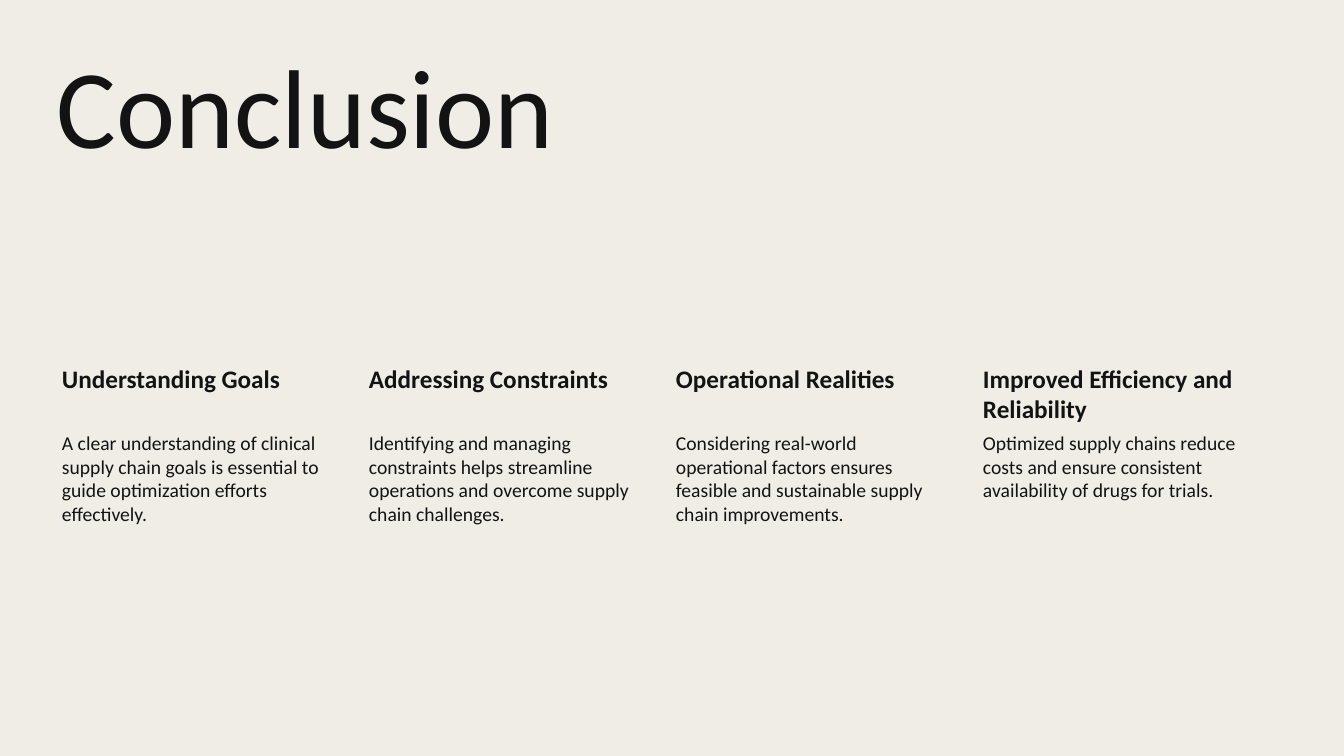
from dataclasses import dataclass

from pptx import Presentation
from pptx import util as u
from pptx.dml.color import RGBColor
from pptx.enum import text
from pptx.slide import Slide

EMU_PER_PX = 914400 / 100.8
INK = "131313"
PAPER = "F0EDE6"
COLUMN_LEFT, COLUMN_PITCH, COLUMN_WIDTH = 47, 307, 279


@dataclass(frozen=True)
class Style:
    top: int
    height: int
    size: int
    bold: bool
    insets: tuple[int, int, int, int]
    line_spacing: float = 1.0


@dataclass(frozen=True)
class Takeaway:
    heading: str
    summary: str


TITLE = Style(47, 179, 80, False, (10, 5, 10, 5), 0.9)
HEADING = Style(360, 69, 18, True, (15, 3, 3, 3))
SUMMARY = Style(429, 242, 14, False, (15, 2, 2, 2))

TAKEAWAYS = [
    Takeaway(
        "Understanding Goals",
        "A clear understanding of clinical supply chain goals is essential to "
        "guide optimization efforts effectively.",
    ),
    Takeaway(
        "Addressing Constraints",
        "Identifying and managing constraints helps streamline operations and "
        "overcome supply chain challenges.",
    ),
    Takeaway(
        "Operational Realities",
        "Considering real-world operational factors ensures feasible and "
        "sustainable supply chain improvements.",
    ),
    Takeaway(
        "Improved Efficiency and Reliability",
        "Optimized supply chains reduce costs and ensure consistent "
        "availability of drugs for trials.",
    ),
]


def px(length: int) -> u.Emu:
    return u.Emu(round(length * EMU_PER_PX))


def color(value: str) -> RGBColor:
    return RGBColor.from_string(value)


def write(slide: Slide, words: str, left: int, width: int, style: Style) -> None:
    box = slide.shapes.add_textbox(px(left), px(style.top), px(width), px(style.height))
    frame = box.text_frame
    frame.word_wrap = True
    frame.vertical_anchor = text.MSO_ANCHOR.TOP
    for side, inset in zip(("left", "top", "right", "bottom"), style.insets):
        setattr(frame, f"margin_{side}", px(inset))
    paragraph = frame.paragraphs[0]
    paragraph.line_spacing = style.line_spacing
    run = paragraph.add_run()
    run.text = words
    formats = {"name": "Calibri", "size": u.Pt(style.size), "bold": style.bold}
    for attribute, value in formats.items():
        setattr(run.font, attribute, value)
    run.font.color.rgb = color(INK)


def main() -> None:
    deck = Presentation()
    deck.slide_width, deck.slide_height = px(1344), px(756)
    conclusion = deck.slides.add_slide(deck.slide_layouts[6])
    conclusion.background.fill.solid()
    conclusion.background.fill.fore_color.rgb = color(PAPER)
    write(conclusion, "Conclusion", COLUMN_LEFT, 1201, TITLE)
    for index, takeaway in enumerate(TAKEAWAYS):
        left = COLUMN_LEFT + index * COLUMN_PITCH
        write(conclusion, takeaway.heading, left, COLUMN_WIDTH, HEADING)
        write(conclusion, takeaway.summary, left, COLUMN_WIDTH, SUMMARY)
    deck.save("out.pptx")


if __name__ == "__main__":
    main()
